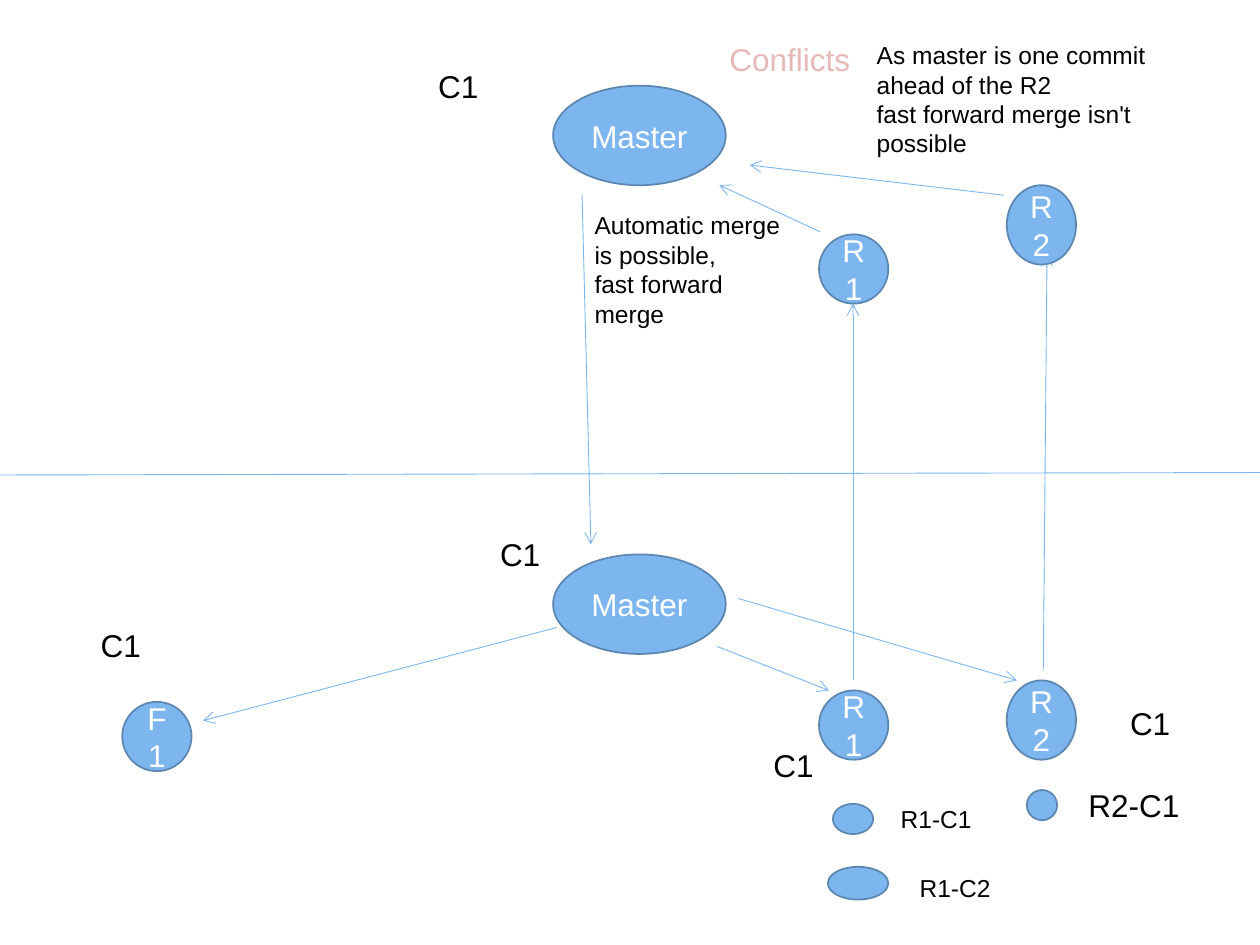
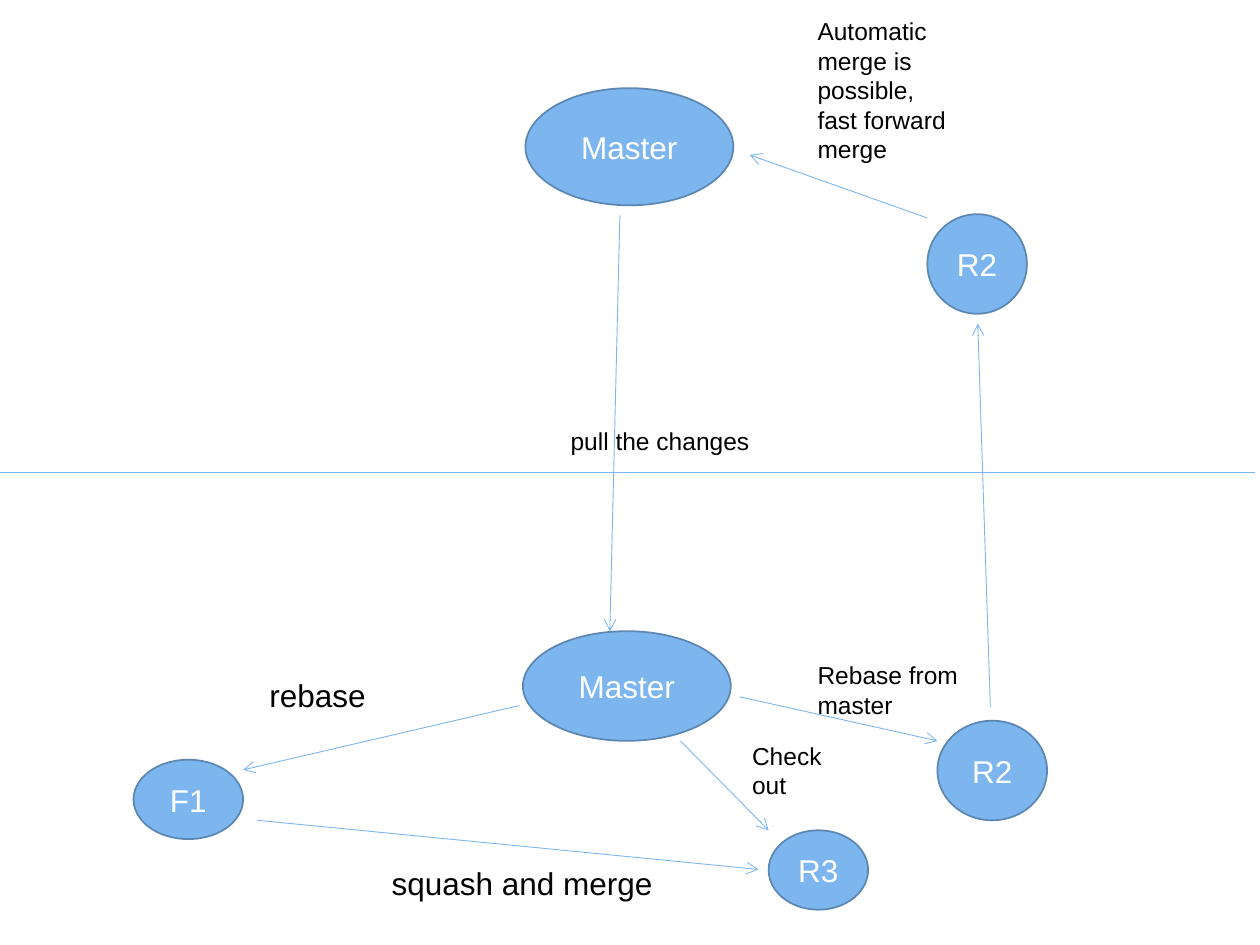
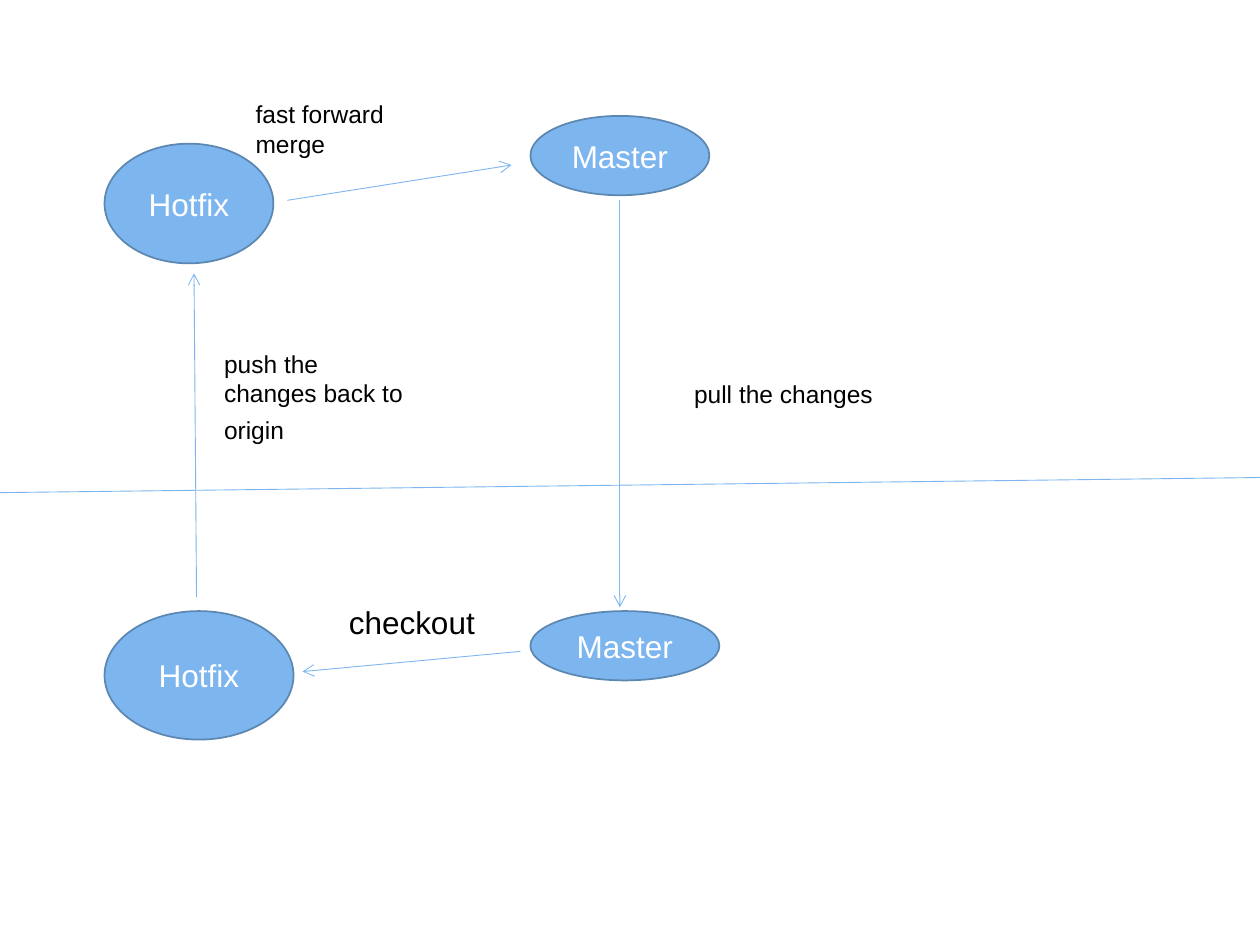
from lxml.etree import SubElement
from pptx import Presentation
from pptx.dml.color import RGBColor
from pptx.enum.shapes import MSO_CONNECTOR as Connector, MSO_SHAPE as Shape
from pptx.enum.text import MSO_ANCHOR as Anchor, MSO_AUTO_SIZE as AutoSize, PP_ALIGN as Align
from pptx.oxml.ns import qn
from pptx.util import Inches, Pt

SKY = RGBColor(0x7D, 0xB6, 0xEF)
STEEL = RGBColor(0x5C, 0x87, 0xB1)
WHITE = RGBColor(0xFF, 0xFF, 0xFF)
BLACK = RGBColor(0, 0, 0)
PINK = RGBColor(0xE6, 0xB9, 0xB8)
RED = RGBColor(0xC0, 0x50, 0x4D)
FONT = "Arial"
LARGE, SMALL = 18, 14

CONFLICT_SLIDE = {
    "divider": (-0.01, 3.77, 10.12, 3.75),
    "arrows": [
        (4.42, 4.98, 1.61, 5.72), (5.69, 5.13, 6.58, 5.48),
        (5.86, 4.75, 8.07, 5.4), (6.77, 5.4, 6.77, 2.41),
        (6.51, 1.84, 5.71, 1.47), (8.28, 5.32, 8.31, 2.02),
        (7.97, 1.55, 5.95, 1.31), (4.62, 1.55, 4.69, 4.32),
    ],
    "nodes": [
        ("Master", 4.39, 0.68, 1.37, 0.79), ("Master", 4.39, 4.4, 1.37, 0.79),
        ("F1", 0.97, 5.57, 0.55, 0.55), ("R1", 6.5, 5.48, 0.55, 0.55),
        ("R2", 7.99, 5.4, 0.55, 0.63), ("R1", 6.5, 1.86, 0.55, 0.55),
        ("R2", 7.99, 1.47, 0.55, 0.63), ("", 6.61, 6.38, 0.32, 0.24),
        ("", 6.57, 6.88, 0.48, 0.26), ("", 8.15, 6.27, 0.24, 0.24),
    ],
    "labels": [
        ("Automatic merge is possible,\nfast forward merge ", 4.62, 1.62, 1.75, 1.04, SMALL, True),
        ("As master is one commit ahead of the R2\nfast forward merge isn't possible",
         6.86, 0.27, 2.63, 1.04, SMALL, True),
        ("C1", 3.38, 0.48, 0.74, 0.4, LARGE, True),
        ("C1", 3.87, 4.2, 0.52, 0.4, LARGE, False),
        ("C1", 0.7, 4.92, 0.52, 0.4, LARGE, False),
        ("C1", 6.04, 5.87, 0.57, 0.4, LARGE, True),
        ("C1", 8.87, 5.54, 0.52, 0.4, LARGE, False),
        ("R1-C1", 7.05, 6.33, 1.06, 0.34, SMALL, True),
        ("R1-C2", 7.2, 6.88, 0.82, 0.34, SMALL, True),
        ("R2-C1", 8.54, 6.19, 0.92, 0.4, LARGE, False),
    ],
}

REBASE_SLIDE = {
    "divider": (0, 3.75, 9.96, 3.75),
    "arrows": [
        (4.92, 1.71, 4.84, 5.01), (5.4, 5.88, 6.1, 6.59),
        (5.87, 5.53, 7.44, 5.88), (7.86, 5.61, 7.76, 2.57),
        (7.36, 1.73, 5.95, 1.23), (4.12, 5.6, 1.93, 6.11),
        (2.04, 6.51, 6.02, 6.9),
    ],
    "nodes": [
        ("Master", 4.17, 0.7, 1.65, 0.93), ("Master", 4.15, 5.01, 1.65, 0.87),
        ("R2", 7.44, 5.72, 0.87, 0.79), ("R3", 6.1, 6.59, 0.79, 0.63),
        ("R2", 7.36, 1.7, 0.79, 0.79), ("F1", 1.06, 6.03, 0.87, 0.63),
    ],
    "labels": [
        ("pull the changes", 4.43, 3.33, 1.62, 0.34, SMALL, False),
        ("Check\vout", 5.87, 5.83, 0.85, 0.57, SMALL, True),
        ("Rebase from master", 6.39, 5.19, 1.9, 0.57, SMALL, True),
        ("Automatic merge is possible,\nfast forward merge ", 6.39, 0.08, 1.6, 1.28, SMALL, True),
        ("squash and merge", 3.01, 6.81, 2.27, 0.4, LARGE, False),
        ("rebase", 2.04, 5.32, 1.05, 0.4, LARGE, True),
    ],
}

HOTFIX_SLIDE = {
    "divider": (0, 3.91, 10, 3.79),
    "arrows": [
        (4.13, 5.17, 2.4, 5.33), (4.92, 1.59, 4.92, 4.82),
        (1.56, 4.74, 1.54, 2.17), (2.28, 1.59, 4.06, 1.31),
    ],
    "nodes": [
        ("Master", 4.21, 0.92, 1.42, 0.63), ("Master", 4.21, 4.85, 1.5, 0.55),
        ("Hotfix", 0.83, 4.85, 1.5, 1.02), ("Hotfix", 0.83, 1.14, 1.34, 0.95),
    ],
    "labels": [
        ("pull the changes", 5.41, 2.96, 1.62, 0.34, SMALL, False),
        ("checkout", 2.67, 4.74, 1.2, 0.4, LARGE, False),
        ("fast forward merge", 1.93, 0.74, 1.75, 0.57, SMALL, True),
    ],
}


def set_attributes(target, values):
    """Set each named attribute of the target."""
    for name, value in values.items():
        setattr(target, name, value)


def style_font(font, size, color):
    """Apply the shared typeface with a size and colour."""
    set_attributes(font, {"name": FONT, "size": Pt(size)})
    font.color.rgb = color


def add_line(slide, ends, arrow=True):
    """Draw a thin line, with an open arrowhead at its end if asked."""
    line = slide.shapes.add_connector(Connector.STRAIGHT, *map(Inches, ends))
    line.line.color.rgb = SKY
    line.line.width = Pt(0.5)
    properties = line._element.spPr
    if arrow:
        SubElement(properties.find(qn("a:ln")), qn("a:tailEnd"), type="arrow")
    SubElement(properties, qn("a:effectLst"))


def add_node(slide, text, *box):
    """Draw a branch or commit ellipse with centred text."""
    node = slide.shapes.add_shape(Shape.OVAL, *map(Inches, box))
    node.shadow.inherit = False
    node.fill.solid()
    node.fill.fore_color.rgb = SKY
    node.line.color.rgb = STEEL
    node.line.width = Pt(1)
    if text:
        frame = node.text_frame
        set_attributes(frame, {"text": text, "word_wrap": True, "vertical_anchor": Anchor.MIDDLE})
        paragraph = frame.paragraphs[0]
        paragraph.alignment = Align.CENTER
        style_font(paragraph.runs[0].font, LARGE, WHITE)


def add_label(slide, text, left, top, width, height, size, wrap, color=BLACK):
    """Add a text box and return its last paragraph."""
    label = slide.shapes.add_textbox(*map(Inches, (left, top, width, height)))
    frame = label.text_frame
    set_attributes(frame, {"text": text, "word_wrap": wrap, "auto_size": AutoSize.SHAPE_TO_FIT_TEXT})
    for paragraph in frame.paragraphs:
        for run in paragraph.runs:
            style_font(run.font, size, color)
    return frame.paragraphs[-1]


def outline_text(run, color, width):
    """Give the letters of a run a coloured outline."""
    properties = run._r.get_or_add_rPr()
    outline = SubElement(properties, qn("a:ln"), w=str(Pt(width)))
    fill = SubElement(outline, qn("a:solidFill"))
    SubElement(fill, qn("a:srgbClr"), val=str(color))
    properties.insert(0, outline)


def add_diagram(presentation, diagram):
    """Add a slide with the divider, arrows, nodes and labels of a diagram."""
    slide = presentation.slides.add_slide(presentation.slide_layouts[6])
    add_line(slide, diagram["divider"], arrow=False)
    for ends in diagram["arrows"]:
        add_line(slide, ends)
    for node in diagram["nodes"]:
        add_node(slide, *node)
    for label in diagram["labels"]:
        add_label(slide, *label)
    return slide


def main():
    """Build and save the three branching diagrams."""
    presentation = Presentation()
    set_attributes(presentation, {"slide_width": Inches(10), "slide_height": Inches(7.5)})

    conflict = add_diagram(presentation, CONFLICT_SLIDE)
    warning = add_label(conflict, "Conflicts", 5.69, 0.27, 1.16, 0.4, LARGE, False, PINK)
    outline_text(warning.runs[0], RED, 1.75)

    add_diagram(presentation, REBASE_SLIDE)

    hotfix = add_diagram(presentation, HOTFIX_SLIDE)
    push = add_label(hotfix, "push the changes back to origin", 1.68, 2.72, 1.7, 0.87, SMALL, True)
    space = push.add_run()
    space.text = " "
    style_font(space.font, LARGE, BLACK)

    presentation.save("out.pptx")


main()
